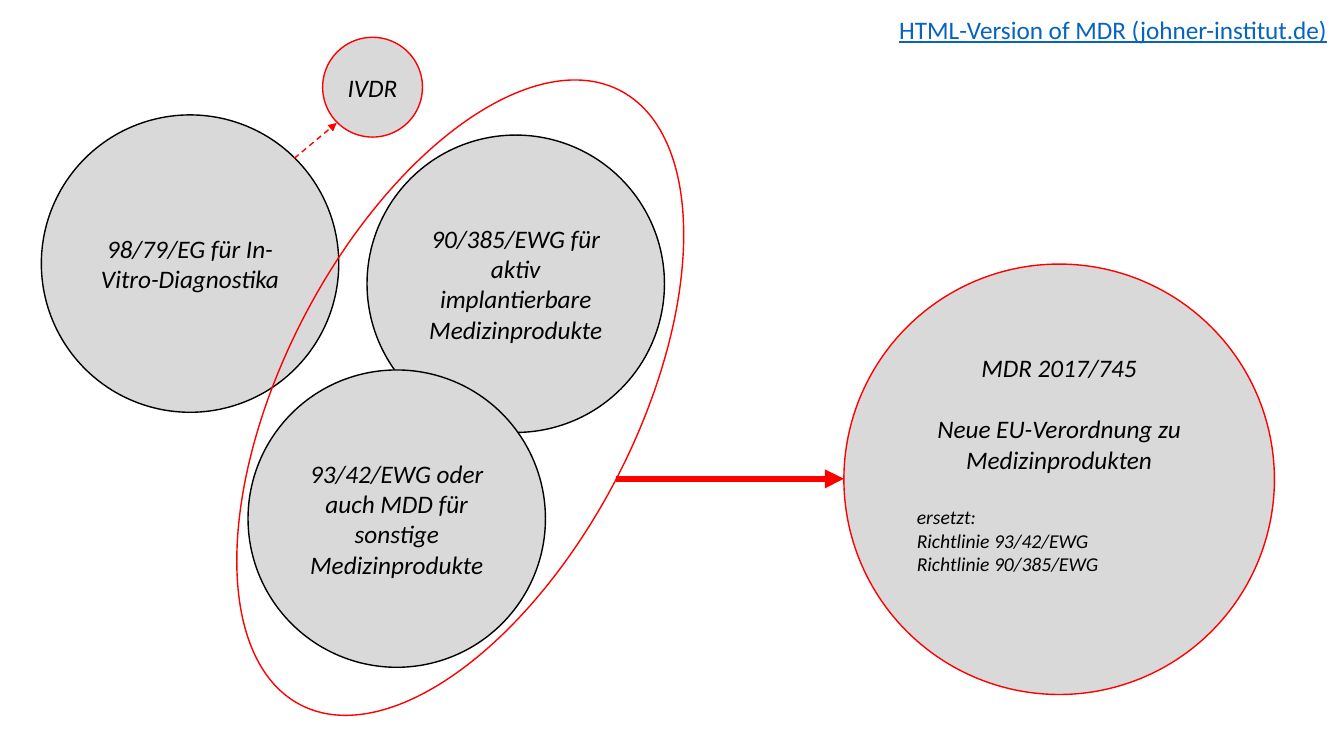
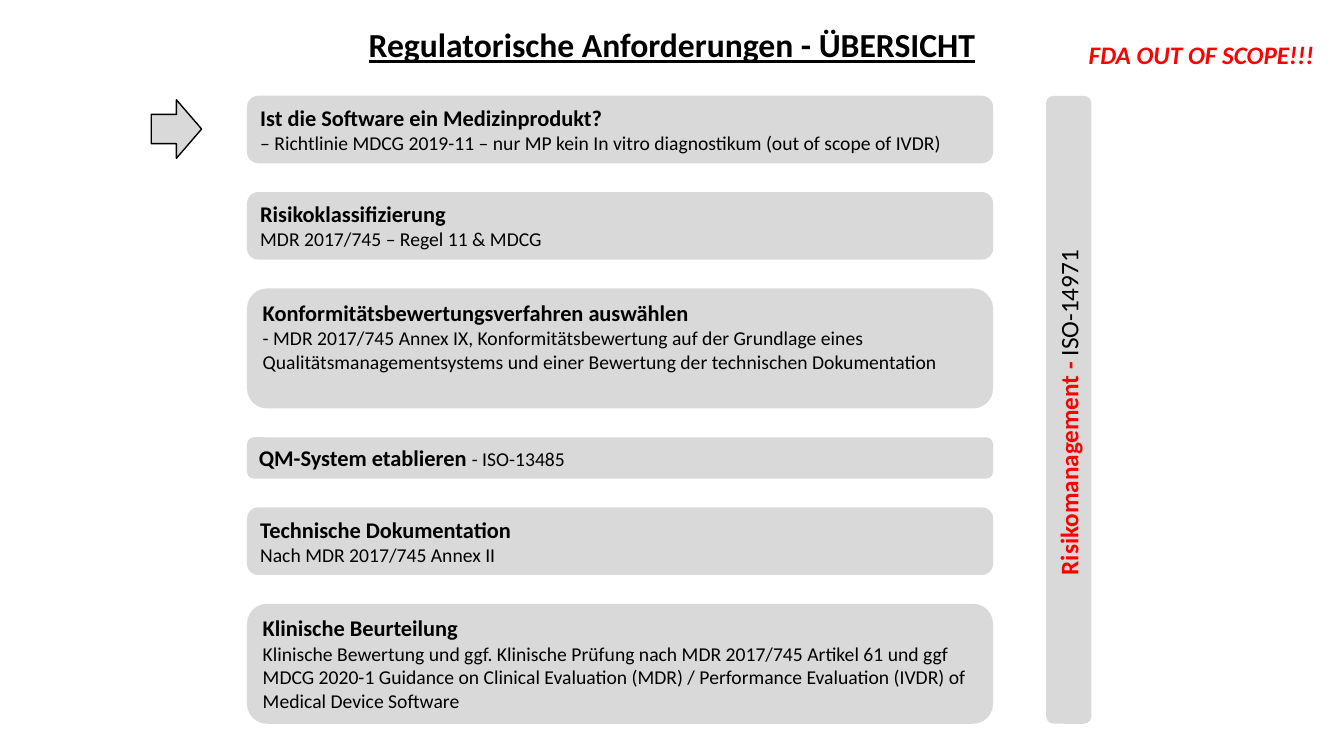
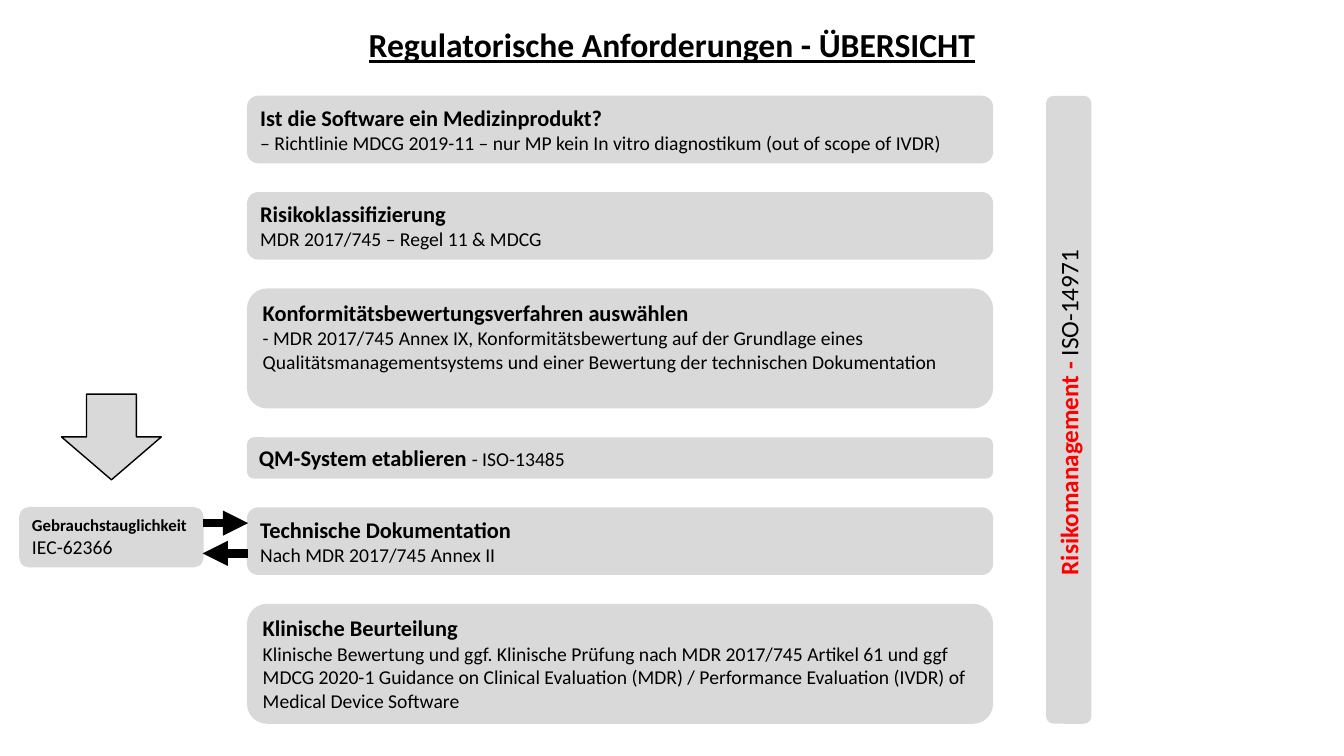
from lxml import etree
from pptx import Presentation
from pptx.dml.color import RGBColor
from pptx.enum.dml import MSO_LINE
from pptx.enum.shapes import MSO_CONNECTOR, MSO_SHAPE
from pptx.enum.text import MSO_ANCHOR, MSO_AUTO_SIZE, PP_ALIGN
from pptx.oxml.ns import qn
from pptx.util import Inches, Pt

ELLIPSE = MSO_SHAPE.OVAL
ROUNDED = MSO_SHAPE.ROUNDED_RECTANGLE
RIGHT_ARROW = MSO_SHAPE.RIGHT_ARROW
STRAIGHT = MSO_CONNECTOR.STRAIGHT
DASH = MSO_LINE.DASH
LEFT, CENTER = PP_ALIGN.LEFT, PP_ALIGN.CENTER
TOP, MIDDLE = MSO_ANCHOR.TOP, MSO_ANCHOR.MIDDLE
NO_AUTOSIZE = MSO_AUTO_SIZE.NONE

FONT = "Calibri"
BLACK = RGBColor(0x00, 0x00, 0x00)
RED = RGBColor(0xFF, 0x00, 0x00)
GREY = RGBColor(0xD9, 0xD9, 0xD9)
LINK_BLUE = RGBColor(0x05, 0x63, 0xC1)
BLANK_LINE = 22

TITLE = "Regulatorische Anforderungen - ÜBERSICHT"
REFERENCE = "HTML-Version of MDR (johner-institut.de)"
SCOPE_NOTE = "FDA OUT OF SCOPE!!!"

DIRECTIVES = [
    ("90/385/EWG für aktiv implantierbare Medizinprodukte", (3.64, 1.34), 2.95, BLACK),
    ("98/79/EG für In-Vitro-Diagnostika", (0.41, 1.14), 2.95, BLACK),
    ("93/42/EWG oder auch MDD für sonstige Medizinprodukte", (2.46, 3.67), 2.95, BLACK),
    ("IVDR", (3.2, 0.37), 0.99, RED),
]
REGULATION = [
    ("MDR 2017/745", 18, CENTER, 0),
    ("Neue EU-Verordnung zu Medizinprodukten", 18, CENTER, BLANK_LINE),
    ("ersetzt:", 14, LEFT, BLANK_LINE),
    ("Richtlinie 93/42/EWG", 14, LEFT, 0),
    ("Richtlinie 90/385/EWG", 14, LEFT, 0),
]

STEPS = [
    (0.67, "Ist die Software ein Medizinprodukt?",
     "– Richtlinie MDCG 2019-11 – nur MP kein In vitro diagnostikum (out of scope of IVDR)"),
    (0.67, "Risikoklassifizierung", "MDR 2017/745 – Regel 11 & MDCG"),
    (1.19, "Konformitätsbewertungsverfahren auswählen",
     "- MDR 2017/745 Annex IX, Konformitätsbewertung auf der Grundlage "
     "eines Qualitätsmanagementsystems und einer Bewertung der technischen Dokumentation"),
    (0.41, "QM-System etablieren ", "- ISO-13485"),
    (0.67, "Technische Dokumentation", "Nach MDR 2017/745 Annex II"),
    (1.19, "Klinische Beurteilung",
     "Klinische Bewertung und ggf. Klinische Prüfung nach MDR 2017/745 Artikel 61 und ggf "
     "MDCG 2020-1 Guidance on Clinical Evaluation (MDR) / Performance Evaluation (IVDR) of "
     "Medical Device Software"),
]
ONE_LINE_HEIGHT = 0.41
STEPS_LEFT, STEPS_WIDTH = 2.45, 7.4
STEPS_TOP, STEPS_HEIGHT = 0.95, 6.23


def add_run(paragraph, text, size, color=BLACK, bold=False, italic=False, underline=False):
    run = paragraph.add_run()
    run.text = text
    font = run.font
    font.name, font.size, font.color.rgb = FONT, Pt(size), color
    font.bold, font.italic, font.underline = bold, italic, underline


def add_figure(slide, kind, left, top, width, height, fill=GREY, outline=None, rotation=0):
    figure = slide.shapes.add_shape(
        kind, Inches(left), Inches(top), Inches(width), Inches(height))
    figure.shadow.inherit = False
    figure.rotation = rotation
    if fill is None:
        figure.fill.background()
    else:
        figure.fill.solid()
        figure.fill.fore_color.rgb = fill
    if outline is None:
        figure.line.fill.background()
    else:
        figure.line.color.rgb = outline
        figure.line.width = Pt(1)
    return figure


def add_circle(slide, paragraphs, position, diameter, outline):
    circle = add_figure(slide, ELLIPSE, *position, diameter, diameter, outline=outline)
    frame = circle.text_frame
    frame.word_wrap = True
    frame.vertical_anchor = MIDDLE
    for index, (text, size, alignment, before) in enumerate(paragraphs):
        paragraph = frame.paragraphs[0] if index == 0 else frame.add_paragraph()
        paragraph.alignment = alignment
        if before:
            paragraph.space_before = Pt(before)
        add_run(paragraph, text, size, italic=True)
    return circle


def add_arrow(slide, start, end, color, width, dash=None):
    arrow = slide.shapes.add_connector(STRAIGHT, *map(Inches, start + end))
    arrow.line.color.rgb = color
    arrow.line.width = Pt(width)
    if dash is not None:
        arrow.line.dash_style = dash
    etree.SubElement(arrow.line._get_or_add_ln(), qn("a:tailEnd"), type="triangle")
    etree.SubElement(arrow._element.spPr, qn("a:effectLst"))


def add_label(slide, text, left, top, width, **style):
    label = slide.shapes.add_textbox(Inches(left), Inches(top), Inches(width), Inches(0.4))
    label.text_frame.word_wrap = False
    add_run(label.text_frame.paragraphs[0], text, 18, **style)


def add_step(slide, left, top, width, height, heading, detail, heading_size=16):
    frame = add_figure(slide, ROUNDED, left, top, width, height).text_frame
    frame.word_wrap = True
    frame.vertical_anchor = TOP
    paragraph = frame.paragraphs[0]
    paragraph.alignment = LEFT
    add_run(paragraph, heading, heading_size, bold=True)
    if height > ONE_LINE_HEIGHT:
        paragraph = frame.add_paragraph()
        paragraph.alignment = LEFT
    add_run(paragraph, detail, 14)


def add_risk_bar(slide):
    thickness, center_x = 0.45, 10.6
    center_y = STEPS_TOP + STEPS_HEIGHT / 2
    bar = add_figure(slide, ROUNDED, center_x - STEPS_HEIGHT / 2, center_y - thickness / 2,
                     STEPS_HEIGHT, thickness, rotation=270)
    bar.text_frame.word_wrap = True
    bar.text_frame.vertical_anchor = TOP
    paragraph = bar.text_frame.paragraphs[0]
    paragraph.alignment = CENTER
    add_run(paragraph, "Risikomanagement - ", 18, RED, bold=True)
    add_run(paragraph, "ISO-14971 ", 18)


def add_overview(prs):
    slide = prs.slides.add_slide(prs.slide_layouts[5])
    title = slide.shapes.title
    title.left, title.top = Inches(3.51), Inches(0.19)
    title.width, title.height = Inches(6.31), Inches(0.5)
    frame = title.text_frame
    frame.auto_size = NO_AUTOSIZE
    frame.word_wrap = False
    frame.vertical_anchor = TOP
    frame.paragraphs[0].alignment = CENTER
    add_run(frame.paragraphs[0], TITLE, 24, bold=True, underline=True)

    gap = (STEPS_HEIGHT - sum(step[0] for step in STEPS)) / (len(STEPS) - 1)
    top = STEPS_TOP
    for height, heading, detail in STEPS:
        add_step(slide, STEPS_LEFT, top, STEPS_WIDTH, height, heading, detail)
        top += height + gap
    add_risk_bar(slide)
    return slide


def build_directives(prs):
    slide = prs.slides.add_slide(prs.slide_layouts[6])
    for text, position, diameter, outline in DIRECTIVES:
        add_circle(slide, [(text, 18, CENTER, 0)], position, diameter, outline)
    regulation = add_circle(slide, REGULATION, (8.37, 2.62), 4.27, RED)
    regulation.text_frame.margin_bottom = Inches(0.35)
    add_figure(slide, ELLIPSE, 2.82, 0.51, 3.49, 6.87, fill=None, outline=RED, rotation=27.5)
    add_label(slide, REFERENCE, 8.82, 0.09, 4.51, color=LINK_BLUE, underline=True)
    add_arrow(slide, (6.11, 4.75), (8.37, 4.75), RED, 4.5)
    add_arrow(slide, (2.92, 1.57), (3.34, 1.22), RED, 1, DASH)


def build_first_step(prs):
    slide = add_overview(prs)
    add_label(slide, SCOPE_NOTE, 10.7, 0.34, 2.47, color=RED, bold=True, italic=True)
    add_figure(slide, RIGHT_ARROW, 1.5, 0.99, 0.5, 0.58, outline=BLACK)


def build_usability(prs):
    slide = add_overview(prs)
    add_figure(slide, RIGHT_ARROW, 0.68, 3.84, 0.85, 0.99, outline=BLACK, rotation=90)
    add_step(slide, 0.19, 5.03, 1.83, 0.6, "Gebrauchstauglichkeit", "IEC-62366", 12)
    add_arrow(slide, (2.01, 5.19), (2.46, 5.19), BLACK, 6)
    add_arrow(slide, (2.46, 5.49), (2.01, 5.49), BLACK, 6)


def main():
    prs = Presentation()
    prs.slide_width, prs.slide_height = Inches(13.33), Inches(7.5)
    build_directives(prs)
    build_first_step(prs)
    build_usability(prs)
    prs.save("out.pptx")


if __name__ == "__main__":
    main()
